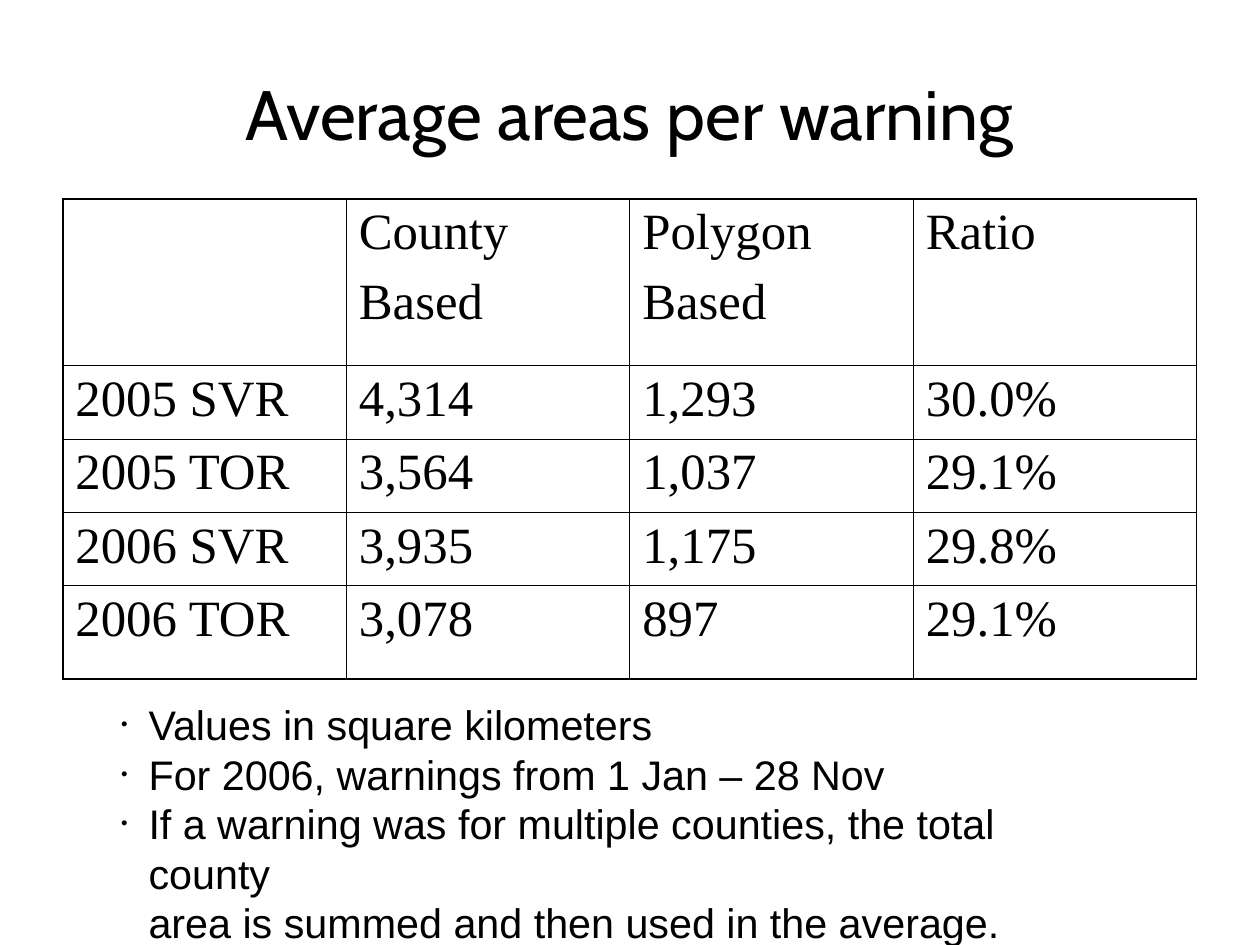
"""Build the slide comparing average areas per warning."""
from dataclasses import dataclass

from lxml import etree
from pptx import Presentation
from pptx import util as u
from pptx.dml.color import RGBColor
from pptx.enum import text as t
from pptx.oxml import ns


@dataclass(frozen=True)
class TextStyle:
    face: str
    size: float


@dataclass(frozen=True)
class Theme:
    ink: str = "000000"
    title: TextStyle = TextStyle("Cabin", 44)
    cell: TextStyle = TextStyle("Times New Roman", 32)
    note: TextStyle = TextStyle("Arial", 26)
    outer_rule: float = 1.08
    inner_rule: float = 0.45


@dataclass(frozen=True)
class Area:
    left: float
    top: float
    width: float
    height: float

    def lengths(self) -> list[u.Length]:
        return [u.Inches(v) for v in (self.left, self.top, self.width, self.height)]


@dataclass(frozen=True)
class AreaRow:
    label: str
    county: str
    polygon: str
    ratio: str
    height: float

    def texts(self) -> tuple[str, ...]:
        return self.label, self.county, self.polygon, self.ratio


THEME = Theme()
HEADING_AREA = Area(0.55, 0.33, 9.92, 1.38)
TABLE_AREA = Area(0.55, 1.74, 9.92, 4.2)
NOTES_AREA = Area(0.95, 6.06, 8.96, 1.84)
ROWS = [
    AreaRow("", "County\nBased", "Polygon\nBased", "Ratio", 1.46),
    AreaRow("2005 SVR", "4,314", "1,293", "30.0%", 0.64),
    AreaRow("2005 TOR", "3,564", "1,037", "29.1%", 0.64),
    AreaRow("2006 SVR", "3,935", "1,175", "29.8%", 0.64),
    AreaRow("2006 TOR", "3,078", "897", "29.1%", 0.82),
]
NOTES = [
    "Values in square kilometers",
    "For 2006, warnings from 1 Jan – 28 Nov",
    "If a warning was for multiple counties, the total county \n"
    "area is summed and then used in the average.",
]


def style_paragraph(paragraph, style: TextStyle) -> None:
    paragraph.font.name = style.face
    paragraph.font.size = u.Pt(style.size)
    paragraph.font.color.rgb = RGBColor.from_string(THEME.ink)


def set_margins(target, horizontal: float, vertical: float) -> None:
    target.margin_left = target.margin_right = u.Inches(horizontal)
    target.margin_top = target.margin_bottom = u.Inches(vertical)


def add_solid_ink(parent) -> None:
    fill = etree.SubElement(parent, ns.qn("a:solidFill"))
    etree.SubElement(fill, ns.qn("a:srgbClr"), val=THEME.ink)


def rule_cell(cell, outer_edges: dict[str, bool]) -> None:
    properties = cell._tc.get_or_add_tcPr()
    for position, (edge, is_outer) in enumerate(outer_edges.items()):
        width = THEME.outer_rule if is_outer else THEME.inner_rule
        line = etree.Element(ns.qn(f"a:ln{edge}"), w=str(int(u.Pt(width))))
        add_solid_ink(line)
        properties.insert(position, line)


def add_bullet(paragraph) -> None:
    properties = paragraph._p.get_or_add_pPr()
    indent = int(u.Inches(0.24))
    properties.set("marL", str(indent))
    properties.set("indent", str(-indent))
    colour = etree.SubElement(properties, ns.qn("a:buClr"))
    etree.SubElement(colour, ns.qn("a:srgbClr"), val=THEME.ink)
    etree.SubElement(properties, ns.qn("a:buSzPct"), val="45000")
    etree.SubElement(properties, ns.qn("a:buFont"), typeface=THEME.note.face)
    etree.SubElement(properties, ns.qn("a:buChar"), char="•")


def add_heading(slide) -> None:
    heading = slide.shapes.title
    heading.left, heading.top, heading.width, heading.height = HEADING_AREA.lengths()
    frame = heading.text_frame
    frame.text = "Average areas per warning"
    frame.auto_size = t.MSO_AUTO_SIZE.NONE
    frame.vertical_anchor = t.MSO_ANCHOR.MIDDLE
    set_margins(frame, 0, 0)
    paragraph = frame.paragraphs[0]
    paragraph.alignment = t.PP_ALIGN.CENTER
    paragraph.line_spacing = 0.97
    style_paragraph(paragraph, THEME.title)


def add_area_table(slide) -> None:
    column_count = len(ROWS[0].texts())
    table = slide.shapes.add_table(len(ROWS), column_count, *TABLE_AREA.lengths()).table
    table.first_row = table.horz_banding = False
    for column in table.columns:
        column.width = u.Inches(TABLE_AREA.width / column_count)
    for r, row in enumerate(ROWS):
        table.rows[r].height = u.Inches(row.height)
        for c, content in enumerate(row.texts()):
            cell = table.cell(r, c)
            cell.text = content
            cell.fill.background()
            set_margins(cell, 0.11, 0.05)
            rule_cell(cell, {"L": c == 0, "R": c == column_count - 1,
                             "T": r == 0, "B": r == len(ROWS) - 1})
            for line_number, paragraph in enumerate(cell.text_frame.paragraphs):
                if line_number:
                    paragraph.space_before = u.Pt(8)
                style_paragraph(paragraph, THEME.cell)


def add_notes_list(slide) -> None:
    frame = slide.shapes.add_textbox(*NOTES_AREA.lengths()).text_frame
    frame.word_wrap = True
    set_margins(frame, 0.11, 0.06)
    for number, note in enumerate(NOTES):
        paragraph = frame.add_paragraph() if number else frame.paragraphs[0]
        paragraph.text = note
        add_bullet(paragraph)
        style_paragraph(paragraph, THEME.note)


def main() -> None:
    deck = Presentation()
    deck.slide_width, deck.slide_height = u.Cm(28), u.Cm(21)
    slide = deck.slides.add_slide(deck.slide_layouts.get_by_name("Title Only"))
    add_heading(slide)
    add_area_table(slide)
    add_notes_list(slide)
    deck.save("out.pptx")


if __name__ == "__main__":
    main()
